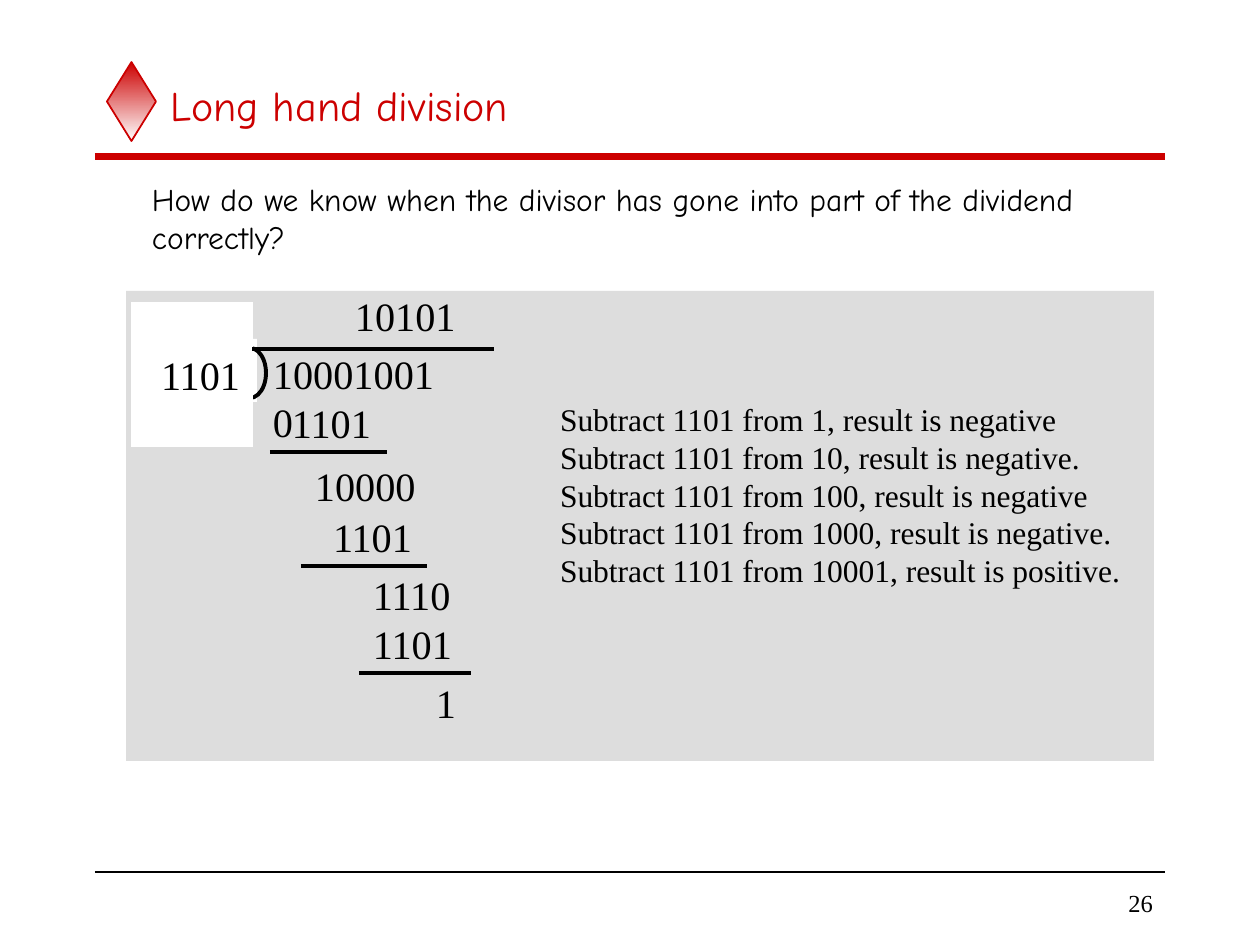
from pptx import Presentation
from pptx.dml.color import RGBColor
from pptx.enum.shapes import MSO_CONNECTOR, MSO_SHAPE
from pptx.enum.text import MSO_ANCHOR, MSO_AUTO_SIZE, PP_ALIGN
from pptx.oxml.ns import qn
from pptx.util import Emu, Pt

LINE = MSO_CONNECTOR.STRAIGHT
RECT, OVAL, GEM = MSO_SHAPE.RECTANGLE, MSO_SHAPE.OVAL, MSO_SHAPE.DIAMOND
TOP, MID = MSO_ANCHOR.TOP, MSO_ANCHOR.MIDDLE
LEFT, RIGHT = PP_ALIGN.LEFT, PP_ALIGN.RIGHT
FIXED = MSO_AUTO_SIZE.NONE

SERIF, COMIC = "Times New Roman", "Comic Neue"
BLACK, WHITE, RED, GREY = "000000", "FFFFFF", "CC0000", "DDDDDD"
SCALE = 914400 / 126
INSET = (13, 6, 13, 6)
BARE = (0, 0, 0, 0)

STEPS = [
    "Subtract 1101 from 1, result is negative",
    "Subtract 1101 from 10, result is negative.",
    "Subtract 1101 from 100, result is negative",
    "Subtract 1101 from 1000, result is negative.",
    "Subtract 1101 from 10001, result is positive.",
]
ROWS = [
    ("10101", 355, 291),
    ("1101", 292, 398),
    ("10000", 315, 461),
    ("1101", 333, 512),
    ("1110", 373, 570),
    ("1101", 373, 619),
    ("1", 436, 678),
]
BARS = [(270, 387, 452), (301, 427, 566), (359, 471, 673)]


def px(num):
    """Turn a length in px into EMU."""
    return Emu(round(num * SCALE))


def tint(code):
    """Turn a hex string into a colour."""
    return RGBColor.from_string(code)


def apply(item, style):
    """Set each attribute named in a dict."""
    for name, value in style.items():
        setattr(item, name, value)


def write(shape, lines, size, face=SERIF, color=BLACK, pad=BARE,
          wrap=False, anchor=TOP, align=LEFT):
    """Fill a shape with one paragraph per line."""
    frame = shape.text_frame
    sides = ("margin_left", "margin_top", "margin_right", "margin_bottom")
    apply(frame, dict(zip(sides, map(px, pad))))
    apply(frame, {"auto_size": FIXED, "word_wrap": wrap,
                  "vertical_anchor": anchor})
    frame.text = "\n".join(lines)
    for para in frame.paragraphs:
        apply(para, {"alignment": align, "line_spacing": Pt(size * 1.2),
                     "space_before": Pt(0)})
        apply(para.font, {"size": Pt(size), "name": face, "bold": False})
        para.font.color.rgb = tint(color)


def label(slide, box, lines, size, **style):
    """Add a text box."""
    shape = slide.shapes.add_textbox(*map(px, box))
    write(shape, lines, size, **style)


def block(slide, kind, box, fill=None, edge=None, width=1):
    """Add a preset shape with optional fill and outline."""
    shape = slide.shapes.add_shape(kind, *map(px, box))
    shape.shadow.inherit = False
    if fill:
        shape.fill.solid()
        shape.fill.fore_color.rgb = tint(fill)
    else:
        shape.fill.background()
    if edge:
        shape.line.color.rgb = tint(edge)
        shape.line.width = Pt(width)
    else:
        shape.line.fill.background()
    return shape


def rule(slide, left, right, top, width, color=BLACK):
    """Add a level line without shadow."""
    ends = map(px, (left, top, right, top))
    line = slide.shapes.add_connector(LINE, *ends)
    line.line.color.rgb = tint(color)
    line.line.width = Pt(width)
    props = line._element.spPr
    props.append(props.makeelement(qn("a:effectLst"), {}))


def gem(slide):
    """Add the diamond that fades from red to white."""
    fill = block(slide, GEM, (107, 62, 49, 79), edge=RED).fill
    fill.gradient()
    fill.gradient_angle = 270
    for stop, code in zip(fill.gradient_stops, (RED, WHITE)):
        stop.color.rgb = tint(code)


def head(slide):
    """Place and format the title."""
    title = slide.shapes.title
    box = map(px, (158, 63, 1008, 84))
    apply(title, dict(zip(("left", "top", "width", "height"), box)))
    write(title, ["Long hand division"], 24, face=COMIC, color=RED,
          pad=INSET, wrap=True, anchor=MID)


def working(slide):
    """Draw the long division."""
    label(slide, (273, 349, 180, 97), ["100010010"], 23, wrap=True)
    for text, left, top in ROWS:
        label(slide, (left, top, 20 * len(text), 48), [text], 23)
    for left, right, top in BARS:
        rule(slide, left, right, top, 2.64)
    block(slide, RECT, (234, 339, 23, 63), fill=WHITE)
    block(slide, OVAL, (234, 348, 32, 50), edge=BLACK, width=2.25)
    side = block(slide, RECT, (131, 302, 122, 145), fill=WHITE)
    write(side, ["1101"], 23, pad=(30, 48, 0, 0))
    rule(slide, 252, 494, 349, 2.64)


def main():
    """Build and save the slide."""
    deck = Presentation()
    apply(deck, {"slide_width": px(1260), "slide_height": px(945)})
    slide = deck.slides.add_slide(deck.slide_layouts[5])
    gem(slide)
    rule(slide, 95, 1165, 157, 4, RED)
    rule(slide, 95, 1165, 872, 1)
    label(slide, (987, 882, 179, 42), ["26"], 14, pad=INSET, wrap=True,
          anchor=MID, align=RIGHT)
    block(slide, RECT, (126, 291, 1028, 470), fill=GREY)
    head(slide)
    ask = ["How do we know when the divisor has gone into part of the dividend",
           "correctly?"]
    label(slide, (139, 174, 959, 88), ask, 18, face=COMIC, pad=INSET)
    working(slide)
    label(slide, (547, 394, 587, 202), STEPS, 18, pad=INSET)
    deck.save("out.pptx")


if __name__ == "__main__":
    main()
